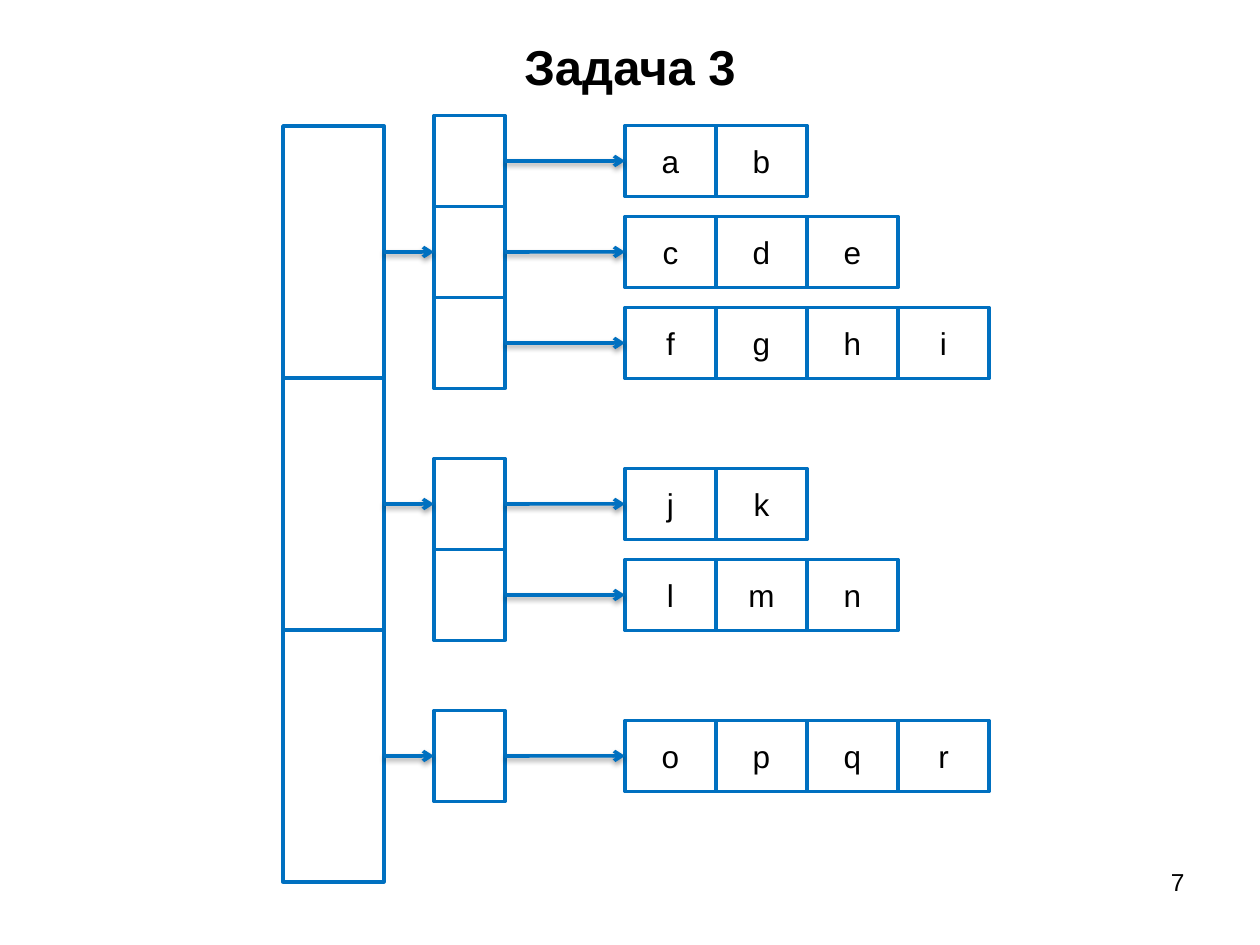
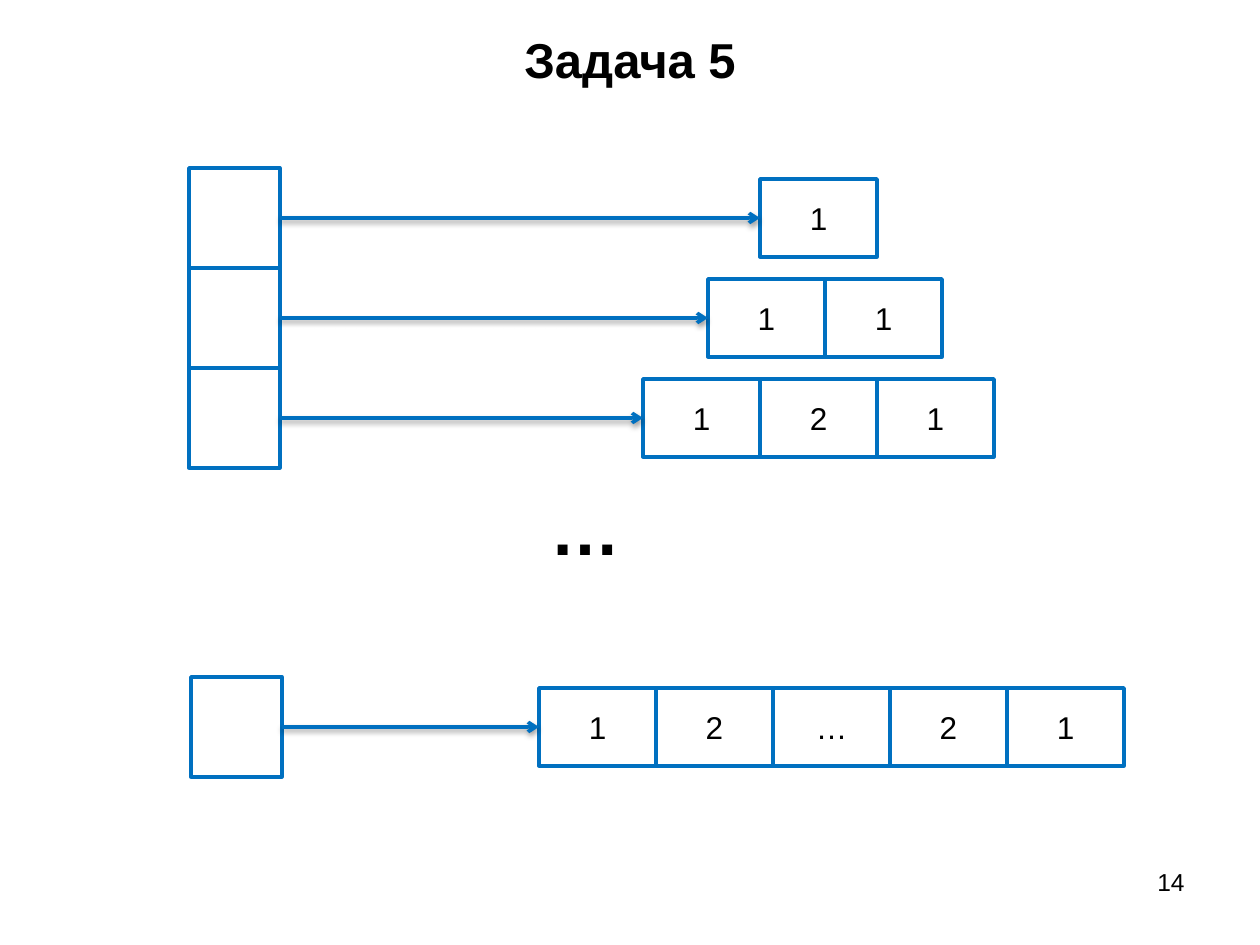
from lxml.etree import SubElement
from pptx import Presentation
from pptx.dml.color import RGBColor
from pptx.enum.shapes import MSO_CONNECTOR, MSO_SHAPE
from pptx.enum.text import MSO_ANCHOR, MSO_AUTO_SIZE, PP_ALIGN
from pptx.oxml.ns import qn
from pptx.util import Pt

SCALE = 914400 / 126
WIDTH, HEIGHT = 1260, 945
COLORS = {"paper": "FFFFFF", "outline": "0070C0", "ink": "000000"}
FORMATS = {
    "title": {"name": "Arial", "size": Pt(28), "bold": True},
    "number": {"name": "Arial", "size": Pt(14), "bold": False},
    "cell": {"name": "Arial", "size": Pt(18), "bold": False},
    "ellipsis": {"name": "Arial", "size": Pt(40), "bold": True},
}
FRAME = {"word_wrap": True, "auto_size": MSO_AUTO_SIZE.NONE}
LINE_WIDTH = Pt(2)
RIGHT_SITE, LEFT_SITE = 3, 1


def emu(*lengths):
    return [round(length * SCALE) for length in lengths]


def color(name):
    return RGBColor.from_string(COLORS[name])


def set_attributes(target, values):
    for name, value in values.items():
        setattr(target, name, value)


def write(shape, text, style, alignment=PP_ALIGN.CENTER, anchor=MSO_ANCHOR.MIDDLE):
    frame = shape.text_frame
    set_attributes(frame, {**FRAME, "vertical_anchor": anchor})
    paragraph = frame.paragraphs[0]
    paragraph.alignment = alignment
    run = paragraph.add_run()
    run.text = text
    set_attributes(run.font, FORMATS[style])
    run.font.color.rgb = color("ink")


def add_box(slide, box, text="", style="cell", outlined=True):
    shape = slide.shapes.add_shape(MSO_SHAPE.RECTANGLE, *emu(*box))
    shape.shadow.inherit = False
    shape.fill.solid()
    shape.fill.fore_color.rgb = color("paper")
    if outlined:
        shape.line.color.rgb = color("outline")
        shape.line.width = LINE_WIDTH
    else:
        shape.line.fill.background()
    if text:
        write(shape, text, style)
    return shape


def add_column(slide, box, count):
    left, top, width, height = box
    return [add_box(slide, (left, top + index * height, width, height))
            for index in range(count)]


def add_row(slide, box, texts):
    left, top, width, height = box
    return [add_box(slide, (left + index * width, top, width, height), text)
            for index, text in enumerate(texts)]


def add_arrow(slide, source, target):
    arrow = slide.shapes.add_connector(MSO_CONNECTOR.STRAIGHT, 0, 0, 0, 0)
    arrow.begin_connect(source, RIGHT_SITE)
    arrow.end_connect(target, LEFT_SITE)
    arrow.line.color.rgb = color("outline")
    arrow.line.width = LINE_WIDTH
    SubElement(arrow.line._get_or_add_ln(), qn("a:tailEnd"), type="arrow")
    effects = SubElement(arrow._element.spPr, qn("a:effectLst"))
    shadow = SubElement(effects, qn("a:outerShdw"), blurRad="40000",
                        dist="20000", dir="5400000", rotWithShape="0")
    shade = SubElement(shadow, qn("a:srgbClr"), val=COLORS["ink"])
    SubElement(shade, qn("a:alpha"), val="38000")


def add_slide(presentation, title, title_box, number):
    slide = presentation.slides.add_slide(presentation.slide_layouts[5])
    heading = slide.shapes.title
    set_attributes(heading, dict(zip(("left", "top", "width", "height"), emu(*title_box))))
    write(heading, title, "title")
    label = slide.shapes.add_textbox(*emu(903, 861, 294, 65))
    write(label, number, "number", PP_ALIGN.RIGHT, MSO_ANCHOR.TOP)
    return slide


def add_nested_arrays(slide, box, groups):
    left, top, width, height = box
    pointer_left, pointer_width, pitch = left + 151, 71, 91
    cell_left, cell_width, cell_height = left + 342, 91, 71
    roots = add_column(slide, box, len(groups))
    for index, (root, (linked, rows)) in enumerate(zip(roots, groups)):
        center = top + (index + 0.5) * height
        pointer_top = center - (linked + 0.5) * pitch
        pointers = add_column(slide, (pointer_left, pointer_top, pointer_width, pitch), len(rows))
        add_arrow(slide, root, pointers[linked])
        for row, (pointer, letters) in enumerate(zip(pointers, rows)):
            cell_top = pointer_top + row * pitch + (pitch - cell_height) / 2
            cells = add_row(slide, (cell_left, cell_top, cell_width, cell_height), letters)
            add_arrow(slide, pointer, cells[0])


def add_pointer_rows(slide, box, rows):
    left, top, width, height = box
    cell_width, cell_height = 117, 78
    pointers = add_column(slide, box, len(rows))
    for index, (pointer, (offset, texts)) in enumerate(zip(pointers, rows)):
        cell_top = top + index * height + (height - cell_height) / 2
        cells = add_row(slide, (left + offset, cell_top, cell_width, cell_height), texts)
        add_arrow(slide, pointer, cells[0])


presentation = Presentation()
presentation.slide_width, presentation.slide_height = emu(WIDTH, HEIGHT)

nested_slide = add_slide(presentation, "Задача 3", (63, 22, 1134, 88), "7")
add_nested_arrays(nested_slide, (283, 126, 101, 252), [
    (1, ["ab", "cde", "fghi"]),
    (0, ["jk", "lmn"]),
    (0, ["opqr"]),
])

triangle_slide = add_slide(presentation, "Задача 5", (63, 10, 1134, 98), "14")
add_pointer_rows(triangle_slide, (189, 168, 91, 100),
                 [(571, "1"), (519, "11"), (454, "121")])
add_pointer_rows(triangle_slide, (191, 677, 91, 100), [(348, "12…21")])
add_box(triangle_slide, (527, 489, 117, 78), "…", "ellipsis", outlined=False)

presentation.save("out.pptx")
